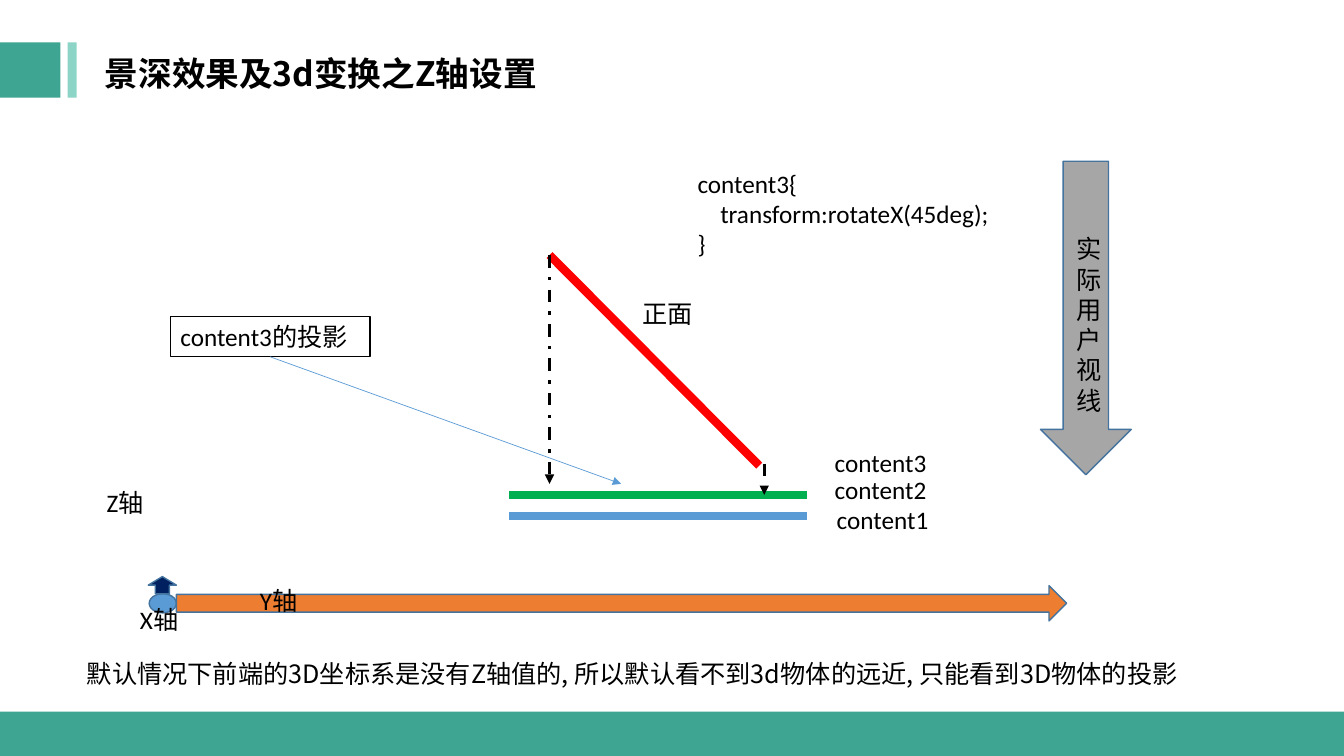
from dataclasses import dataclass

from pptx import Presentation
from pptx.dml.color import RGBColor
from pptx.enum.dml import MSO_LINE
from pptx.enum.shapes import MSO_CONNECTOR, MSO_SHAPE
from pptx.enum.text import MSO_ANCHOR, PP_ALIGN
from pptx.oxml.ns import qn
from pptx.util import Inches, Pt
from lxml import etree

RECT = MSO_SHAPE.RECTANGLE
OVAL = MSO_SHAPE.OVAL
RIGHT_ARROW = MSO_SHAPE.RIGHT_ARROW
DOWN_ARROW = MSO_SHAPE.DOWN_ARROW
STRAIGHT = MSO_CONNECTOR.STRAIGHT
DASH_DOT = MSO_LINE.DASH_DOT
LEFT, CENTER = PP_ALIGN.LEFT, PP_ALIGN.CENTER
TOP, MIDDLE = MSO_ANCHOR.TOP, MSO_ANCHOR.MIDDLE
TITLE_ONLY = 5
BOTTOM_SIDE = 2


@dataclass(frozen=True)
class Theme:
    teal: str = "3DA591"
    mint: str = "8CD4C6"
    white: str = "FFFFFF"
    black: str = "000000"
    blue: str = "5B9BD5"
    outline: str = "43739E"
    navy: str = "002060"
    orange: str = "ED7D31"
    gray: str = "A6A6A6"
    green: str = "00B050"
    red: str = "FF0000"
    latin: str = "Calibri"
    chinese: str = "Noto Sans CJK SC"
    title_size: float = 24
    body_size: float = 18
    outline_width: float = 1
    bar_width: float = 6
    drop_width: float = 2.25
    callout_width: float = 0.75
    pointer_width: float = 0.5


THEME = Theme()


def rgb(value):
    return RGBColor.from_string(value)


def add_run(paragraph, words, font, size, bold=False):
    run = paragraph.add_run()
    run.text = words
    run.font.name = font
    run.font.size = Pt(size)
    run.font.bold = bold
    run.font.color.rgb = rgb(THEME.black)
    east_asian = etree.SubElement(run.font._element, qn("a:ea"))
    east_asian.set("typeface", THEME.chinese)


def add_title(slide, words):
    title = slide.shapes.title
    title.left, title.top = Inches(0.94), Inches(0.47)
    title.width, title.height = Inches(7.11), Inches(0.5)
    title.fill.solid()
    title.fill.fore_color.rgb = rgb(THEME.white)
    title.text_frame.vertical_anchor = MIDDLE
    heading = title.text_frame.paragraphs[0]
    heading.alignment = LEFT
    add_run(heading, words, THEME.chinese, THEME.title_size, bold=True)


def add_block(slide, kind, box, fill, outline=None):
    block = slide.shapes.add_shape(kind, *map(Inches, box))
    block.shadow.inherit = False
    block.fill.solid()
    block.fill.fore_color.rgb = rgb(fill)
    if outline:
        block.line.color.rgb = rgb(outline)
        block.line.width = Pt(THEME.outline_width)
    else:
        block.line.fill.background()
    return block


def add_label(slide, box, lines, font=THEME.latin, align=LEFT):
    label = slide.shapes.add_textbox(*map(Inches, box))
    frame = label.text_frame
    frame.word_wrap = True
    frame.vertical_anchor = TOP
    for index, words in enumerate(lines):
        paragraph = frame.add_paragraph() if index else frame.paragraphs[0]
        paragraph.alignment = align
        add_run(paragraph, words, font, THEME.body_size)
    return label


def add_line(slide, start, end, color, width, dash=None, arrow=False):
    line = slide.shapes.add_connector(STRAIGHT, *map(Inches, (*start, *end)))
    line.line.color.rgb = rgb(color)
    line.line.width = Pt(width)
    if dash:
        line.line.dash_style = dash
    properties = line.element.spPr
    if arrow:
        head = etree.SubElement(properties.find(qn("a:ln")), qn("a:tailEnd"))
        head.set("type", "triangle")
    etree.SubElement(properties, qn("a:effectLst"))
    return line


def add_frame(slide):
    add_block(slide, RECT, (0, 0.42, 0.6, 0.55), THEME.teal)
    add_block(slide, RECT, (0.67, 0.42, 0.09, 0.55), THEME.mint)
    add_block(slide, RECT, (0, 7.06, 13.33, 0.44), THEME.teal)


def add_axes(slide):
    add_block(slide, OVAL, (1.48, 5.89, 0.27, 0.19), THEME.blue, THEME.outline)
    add_block(slide, RIGHT_ARROW, (1.75, 5.81, 8.83, 0.35), THEME.orange, THEME.outline)
    z_axis = add_block(slide, DOWN_ARROW, (1.47, 5.72, 0.28, 0.17), THEME.navy, THEME.outline)
    z_axis.rotation = 180
    for words, left, top in (("X轴", 1.29, 5.95), ("Y轴", 2.48, 5.76), ("Z轴", 0.96, 4.79)):
        add_label(slide, (left, top, 0.7, 0.4), [words])


def add_layers(slide):
    for top, color in ((4.91, THEME.green), (5.12, THEME.blue)):
        add_line(slide, (5.05, top), (8, top), color, THEME.bar_width)
    add_line(slide, (5.45, 2.53), (7.53, 4.62), THEME.red, THEME.bar_width)
    for words, left, top in (("content3", 8.18, 4.39), ("content2", 8.18, 4.66), ("content1", 8.2, 4.95)):
        add_label(slide, (left, top, 1.49, 0.4), [words])
    add_label(slide, (6.27, 2.91, 0.79, 0.4), ["正面"])


def add_projection(slide):
    for left, top, bottom in ((5.45, 2.53, 4.8), (7.58, 4.6, 4.91)):
        add_line(slide, (left, top), (left, bottom), THEME.black, THEME.drop_width, DASH_DOT, arrow=True)
    callout = add_label(slide, (1.69, 3.14, 1.98, 0.4), ["content3的投影"])
    callout.line.color.rgb = rgb(THEME.black)
    callout.line.width = Pt(THEME.callout_width)
    pointer = add_line(slide, (2.68, 3.54), (6.16, 4.8), THEME.blue, THEME.pointer_width, arrow=True)
    pointer.begin_connect(callout, BOTTOM_SIDE)


def add_sight_line(slide):
    add_block(slide, DOWN_ARROW, (10.32, 1.6, 0.9, 3.11), THEME.gray, THEME.outline)
    add_label(slide, (10.58, 2.27, 0.38, 1.92), ["实际用户视线"])


def main():
    deck = Presentation()
    deck.slide_width, deck.slide_height = Inches(13.33), Inches(7.5)
    slide = deck.slides.add_slide(deck.slide_layouts[TITLE_ONLY])
    add_frame(slide)
    add_title(slide, "景深效果及3d变换之Z轴设置")
    add_layers(slide)
    add_axes(slide)
    add_sight_line(slide)
    add_projection(slide)
    add_label(slide, (6.82, 1.62, 3.76, 1.01),
              ["content3{", "    transform:rotateX(45deg);", "}"])
    add_label(slide, (0.33, 6.48, 11.88, 0.4),
              ["默认情况下前端的3D坐标系是没有Z轴值的, 所以默认看不到3d物体的远近, 只能看到3D物体的投影"],
              THEME.chinese, CENTER)
    deck.save("out.pptx")


if __name__ == "__main__":
    main()
